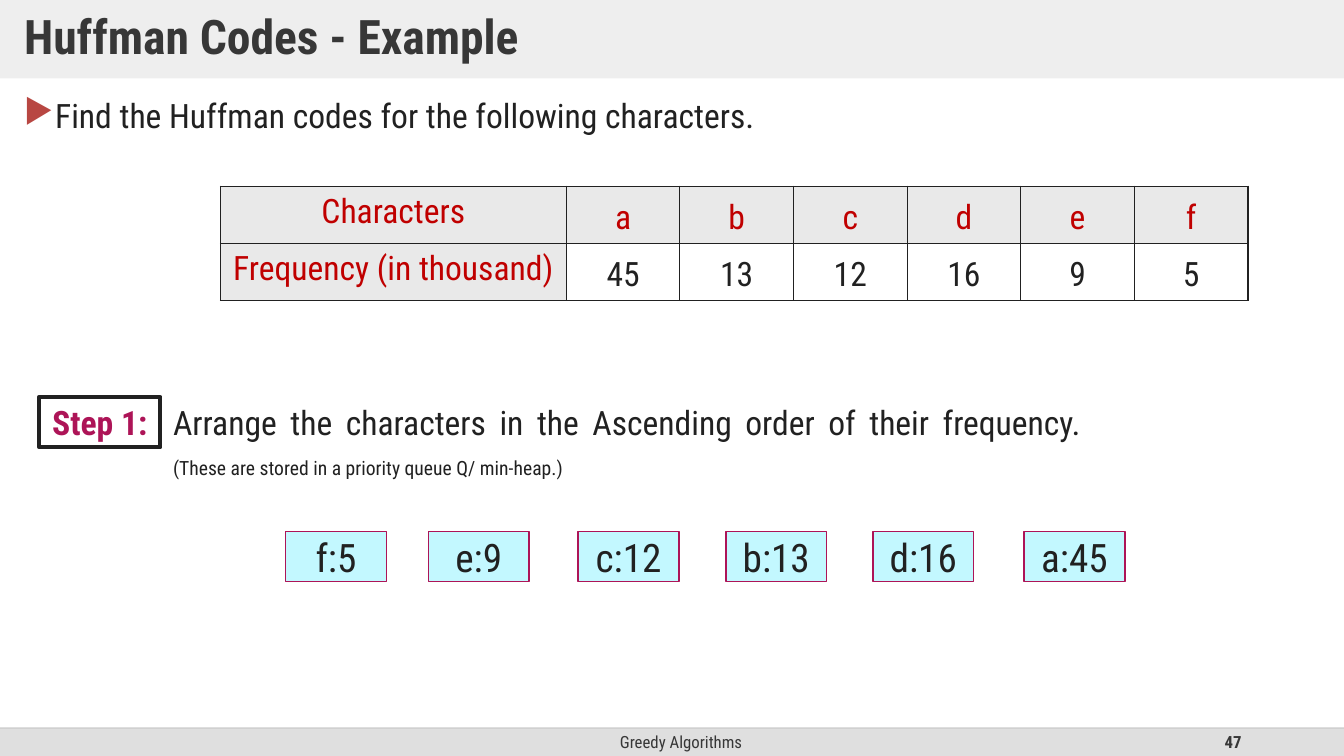
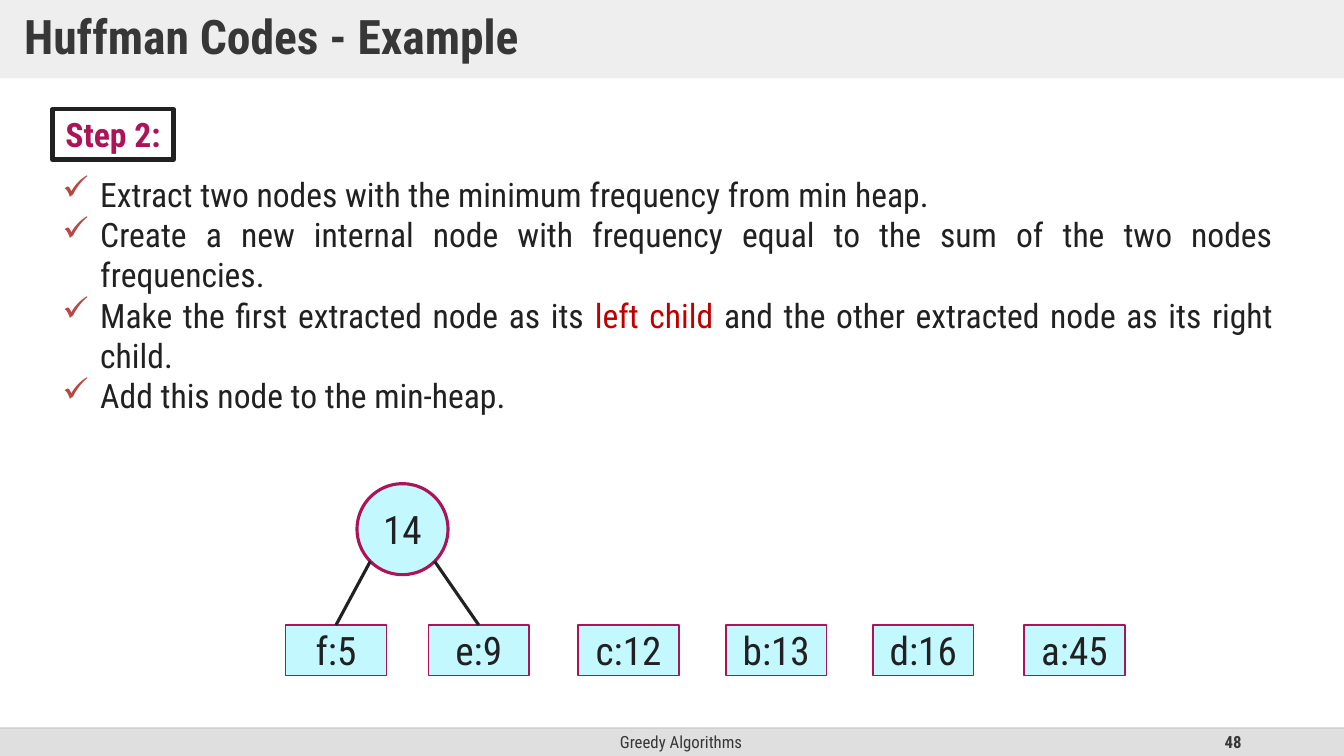
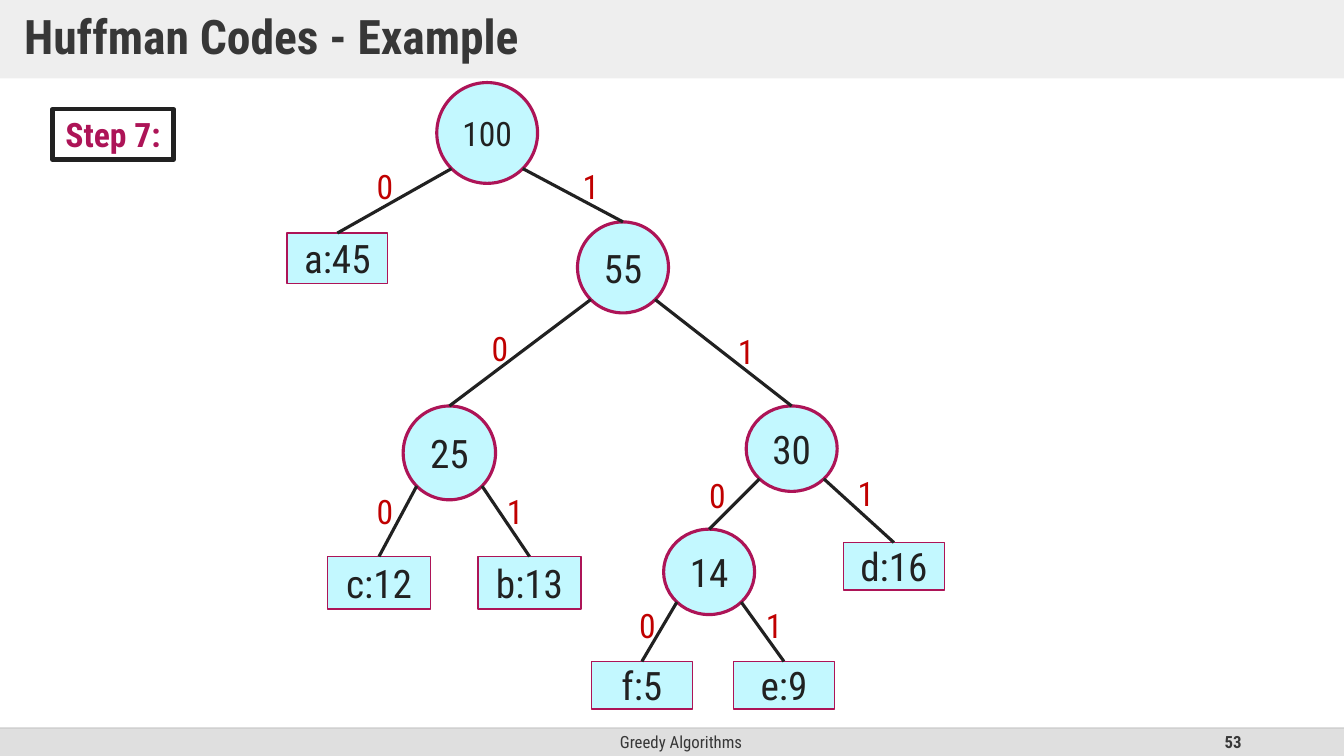
from math import sqrt

from lxml.etree import SubElement
from pptx import Presentation
from pptx.dml.color import RGBColor
from pptx.enum.shapes import MSO_CONNECTOR, MSO_SHAPE
from pptx.enum.text import MSO_ANCHOR, MSO_AUTO_SIZE, PP_ALIGN
from pptx.oxml.ns import qn
from pptx.util import Pt

# Style
FONT = "Roboto Condensed"
WHITE = RGBColor(0xFF, 0xFF, 0xFF)
INK = RGBColor(0x21, 0x21, 0x21)
GRAY_TEXT = RGBColor(0x37, 0x37, 0x37)
BAND = RGBColor(0xDF, 0xDF, 0xDF)
RULE = RGBColor(0xBF, 0xBF, 0xBF)
HEADER = RGBColor(0xE9, 0xE9, 0xE9)
RED = RGBColor(0xC0, 0x00, 0x00)
BULLET = RGBColor(0xB8, 0x47, 0x42)
MAGENTA = RGBColor(0xAD, 0x14, 0x57)
CYAN = RGBColor(0xC3, 0xF8, 0xFF)
WIDTH, HEIGHT = 960, 540
FOOTER_TOP, FOOTER_H = 520, 20
LEFT, CENTER, RIGHT, JUSTIFY = (PP_ALIGN.LEFT, PP_ALIGN.CENTER,
                                PP_ALIGN.RIGHT, PP_ALIGN.JUSTIFY)

# Content
TITLE = "Huffman Codes - Example"
FOOTER = "Greedy Algorithms"
FREQUENCIES = {"a": 45, "b": 13, "c": 12, "d": 16, "e": 9, "f": 5}
LEAF_LEFTS = [204, 306, 413, 518.5, 623.5, 731.5]
STEP_2 = [
    [("Extract two nodes with the minimum frequency from min heap.", {})],
    [("Create a new internal node with frequency equal to the sum of the "
      "two nodes frequencies.", {})],
    [("Make the first extracted node as its ", {}),
     ("left child ", {"color": RED}),
     ("and the other extracted node as its right child.", {})],
    [("Add this node to the min-heap.", {})],
]
TREE_NODES = {  # left, top, width, height
    "100": (312, 59, 72, 72),
    "55": (412.5, 158.5, 65, 65),
    "25": (288, 290, 66, 67),
    "30": (533, 290, 65, 61),
    "14": (474, 378, 65, 61),
}
TREE_LEAVES = {
    "a:45": (205, 166.5, 72, 36),
    "c:12": (234, 397.5, 73.5, 37.5),
    "b:13": (341.5, 397.5, 73.5, 37.5),
    "d:16": (602.5, 387.5, 72, 34),
    "f:5": (422.5, 472.5, 72, 34),
    "e:9": (524, 472.5, 72, 34),
}
TREE_EDGES = {  # parent: (child, left and top of its bit) for bits 0 and 1
    "100": [("a:45", 262, 115), ("55", 409, 115)],
    "55": [("25", 344, 230.5), ("30", 520, 232.5)],
    "25": [("c:12", 262, 347), ("b:13", 355, 347)],
    "30": [("14", 499.5, 335.5), ("d:16", 605.5, 334)],
    "14": [("f:5", 449.5, 428.5), ("e:9", 540, 428.5)],
}


def set_alpha(sp, percent):
    color = sp._element.spPr.find(".//" + qn("a:srgbClr"))
    SubElement(color, qn("a:alpha"), val=str(percent * 1000))


class Deck:
    def __init__(self):
        self.prs = Presentation()
        self.prs.slide_width, self.prs.slide_height = Pt(WIDTH), Pt(HEIGHT)
        self.s = None

    def new_slide(self, number):
        self.s = self.prs.slides.add_slide(self.prs.slide_layouts[5])
        # Footer band
        self.shape(MSO_SHAPE.RECTANGLE, (0, FOOTER_TOP, WIDTH, FOOTER_H), BAND)
        for text, left, width, align, bold in [
                (FOOTER, 318, 337, CENTER, False),
                (str(number), 678, 216, RIGHT, True)]:
            self.text([[(text, {"bold": bold})]],
                      (left, FOOTER_TOP, width, FOOTER_H), align,
                      MSO_ANCHOR.MIDDLE, size=12, color=GRAY_TEXT)
        rule = self.line((0, FOOTER_TOP), (WIDTH, FOOTER_TOP), RULE, 1)
        set_alpha(rule, 70)
        # Title band
        sp = self.s.shapes.title
        self.place(sp, (0, 0, WIDTH, 56))
        sp.fill.solid()
        sp.fill.fore_color.rgb = BAND
        set_alpha(sp, 50)
        tf = sp.text_frame
        for name, value in {"margin_left": Pt(17.3), "margin_right": Pt(17.3),
                            "margin_top": Pt(8.6), "margin_bottom": Pt(8.6),
                            "auto_size": MSO_AUTO_SIZE.NONE}.items():
            setattr(tf, name, value)
        self.fill_text(tf, [[(TITLE, {})]], LEFT, MSO_ANCHOR.MIDDLE,
                       spacing=0.9, size=34, color=GRAY_TEXT, bold=True)

    def place(self, sp, box):
        for name, value in zip(("left", "top", "width", "height"), box):
            setattr(sp, name, Pt(value))

    def fill_text(self, tf, paragraphs, align=LEFT, anchor=MSO_ANCHOR.TOP,
                  wrap=True, spacing=None, bullet=None, **style):
        """Each paragraph is a list of (text, style changes)."""
        tf.word_wrap, tf.vertical_anchor = wrap, anchor
        for i, runs in enumerate(paragraphs):
            p = tf.add_paragraph() if i else tf.paragraphs[0]
            p.alignment, p.line_spacing = align, spacing
            if bullet:
                self.bullet(p, *bullet)
            for text, changes in runs:
                r = p.add_run()
                r.text = text
                look = {"name": FONT, "size": 24, "bold": False,
                        "color": INK, **style, **changes}
                r.font.color.rgb = look.pop("color")
                look["size"] = Pt(look["size"])
                for name, value in look.items():
                    setattr(r.font, name, value)

    def bullet(self, p, char, indent):
        pPr = p._p.get_or_add_pPr()
        pPr.set("marL", str(Pt(indent)))
        pPr.set("indent", str(-Pt(indent)))
        SubElement(SubElement(pPr, qn("a:buClr")), qn("a:srgbClr"),
                   val=str(BULLET))
        SubElement(pPr, qn("a:buChar"), char=char)

    def text(self, paragraphs, box, align=LEFT, anchor=MSO_ANCHOR.TOP, **style):
        sp = self.s.shapes.add_textbox(*map(Pt, box))
        self.fill_text(sp.text_frame, paragraphs, align, anchor, **style)

    def shape(self, kind, box, fill=None, line=None, weight=1, label=None,
              **style):
        sp = self.s.shapes.add_shape(kind, *map(Pt, box))
        sp.shadow.inherit = False
        if fill is None:
            sp.fill.background()
        else:
            sp.fill.solid()
            sp.fill.fore_color.rgb = fill
        if line is None:
            sp.line.fill.background()
        else:
            sp.line.color.rgb, sp.line.width = line, Pt(weight)
        if label:
            self.fill_text(sp.text_frame, [[(label, {})]], CENTER,
                           MSO_ANCHOR.MIDDLE, wrap=False, **style)
        return sp

    def step(self, label, left, top):
        self.shape(MSO_SHAPE.RECTANGLE, (left, top, 86.5, 36), None, INK, 3,
                   label, color=MAGENTA, bold=True)

    def leaf(self, label, box):
        return self.shape(MSO_SHAPE.RECTANGLE, box, CYAN, MAGENTA, 1, label,
                          size=28)

    def node(self, label, box):
        return self.shape(MSO_SHAPE.OVAL, box, CYAN, MAGENTA, 2.25, label,
                          size=24 if len(label) > 2 else 28)

    def leaf_row(self, top):
        ordered = sorted(FREQUENCIES.items(), key=lambda item: item[1])
        return [self.leaf(f"{char}:{count}", (left, top, 72, 36))
                for left, (char, count) in zip(LEAF_LEFTS, ordered)]

    def line(self, start, end, color=INK, weight=2.25):
        c = self.s.shapes.add_connector(MSO_CONNECTOR.STRAIGHT,
                                        *map(Pt, (*start, *end)))
        c.line.color.rgb, c.line.width = color, Pt(weight)
        SubElement(c._element.spPr, qn("a:effectLst"))
        return c

    def edge(self, parent, child, bit):
        """From the lower left (0) or lower right (1) of a node to a child."""
        side = 1 if bit else -1
        x = parent.left.pt + parent.width.pt / 2 * (1 + side * sqrt(0.5))
        y = parent.top.pt + parent.height.pt / 2 * (1 + sqrt(0.5))
        top_center = child.left.pt + child.width.pt / 2, child.top.pt
        self.line((x, y), top_center).end_connect(child, 0)

    def table(self, rows, box, first_width):
        frame = self.s.shapes.add_table(len(rows), len(rows[0]), *map(Pt, box))
        tbl = frame.table
        tbl.first_row = tbl.horz_banding = False
        other_width = (box[2] - first_width) / (len(rows[0]) - 1)
        for i, col in enumerate(tbl.columns):
            col.width = Pt(other_width if i else first_width)
        for i, row in enumerate(rows):
            for j, value in enumerate(row):
                self.cell(tbl.cell(i, j), value, i == 0 or j == 0, j == 0)

    def cell(self, cell, value, is_header, is_label):
        tcPr = cell._tc.get_or_add_tcPr()
        for side in ("lnL", "lnR", "lnT", "lnB"):
            ln = SubElement(tcPr, qn("a:" + side), w=str(Pt(1)))
            SubElement(SubElement(ln, qn("a:solidFill")), qn("a:srgbClr"),
                       val=str(INK))
        cell.fill.solid()
        cell.fill.fore_color.rgb = HEADER if is_header else WHITE
        for name, margin in {"left": 5, "right": 5, "top": 0,
                             "bottom": 0}.items():
            setattr(cell, "margin_" + name, Pt(margin))
        self.fill_text(cell.text_frame, [[(str(value), {})]], CENTER,
                       spacing=1.15, color=RED if is_header else INK)
        cell.vertical_anchor = MSO_ANCHOR.TOP if is_label else MSO_ANCHOR.MIDDLE


def main():
    deck = Deck()

    # Step 1: sorted characters
    deck.new_slide(47)
    deck.text([[("Find the Huffman codes for the following characters.", {})]],
              (10, 67.5, 940, 36), JUSTIFY, spacing=0.9, bullet=("▶", 21))
    deck.table([["Characters", *FREQUENCIES],
                ["Frequency (in thousand)", *FREQUENCIES.values()]],
               (157.5, 133, 734, 81.5), 247)
    deck.step("Step 1:", 28, 283.5)
    deck.text([[("Arrange the characters in the Ascending order of their "
                 "frequency. ", {}),
                ("(These are stored in a priority queue Q/ min-heap.)",
                 {"size": 14}),
                (" ", {})]],
              (116.5, 283.5, 663, 65.5), JUSTIFY)
    deck.leaf_row(379.5)

    # Step 2: first merge
    deck.new_slide(48)
    deck.step("Step 2:", 37.5, 78)
    deck.text(STEP_2, (37.5, 120.5, 879, 181.5), JUSTIFY, bullet=("✓", 27))
    leaves = deck.leaf_row(446.5)
    merged = deck.node("14", (255, 345.5, 65, 65))
    for bit, leaf in enumerate(leaves[:2]):
        deck.edge(merged, leaf, bit)

    # Step 7: whole tree
    deck.new_slide(53)
    deck.step("Step 7:", 37.5, 78)
    shapes = {label: deck.node(label, box) for label, box in TREE_NODES.items()}
    shapes.update({label: deck.leaf(label, box)
                   for label, box in TREE_LEAVES.items()})
    for parent, children in TREE_EDGES.items():
        for bit, (child, left, top) in enumerate(children):
            deck.edge(shapes[parent], shapes[child], bit)
            deck.text([[(str(bit), {})]], (left, top, 29, 36), color=RED)

    deck.prs.save("out.pptx")


if __name__ == "__main__":
    main()
